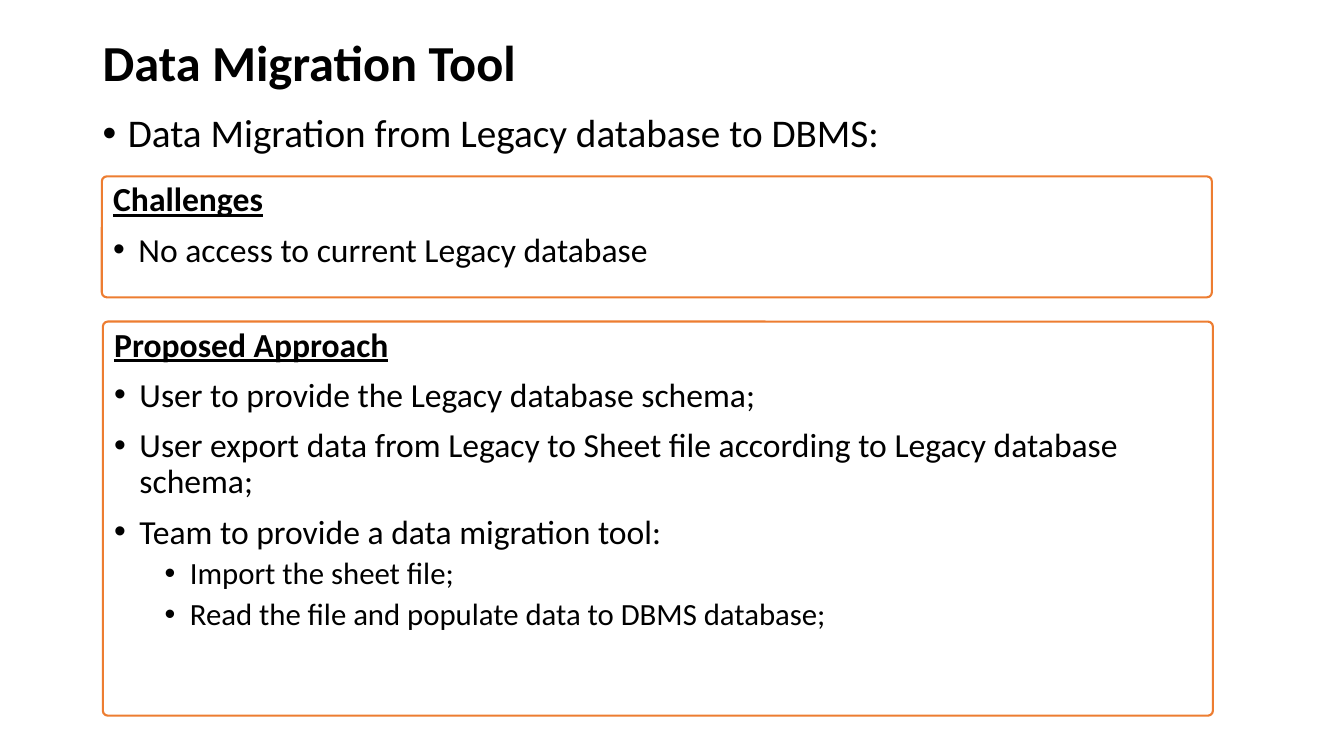
import dataclasses

import lxml.etree
import pptx
import pptx.dml.color
import pptx.enum.shapes
import pptx.enum.text
import pptx.oxml.ns
import pptx.util


@dataclasses.dataclass(frozen=True)
class Theme:
    """Hold the colours, font and type sizes of the slide."""
    font: str = "Calibri"
    text: str = "000000"
    panel: str = "FFFFFF"
    border: str = "ED7D31"
    border_width: float = 1.5
    title: int = 36
    lead: int = 28
    heading: int = 24
    levels: tuple = (24, 22)
    space_before: tuple = (10, 5)
    line_spacing: float = 0.9


THEME = Theme()
INDENT = 0.25
LEVEL_STEP = 0.5
CORNER_RADIUS = 0.05


def inches(box):
    """Convert a box of left, top, width and height to lengths."""
    return [pptx.util.Inches(length) for length in box]


def set_bullet(paragraph, level):
    """Give a paragraph a round bullet with a hanging indent."""
    properties = paragraph._p.get_or_add_pPr()
    properties.set("marL", str(pptx.util.Inches(INDENT + LEVEL_STEP * level)))
    properties.set("indent", str(-pptx.util.Inches(INDENT)))
    font = lxml.etree.SubElement(properties, pptx.oxml.ns.qn("a:buFont"))
    font.set("typeface", "Arial")
    bullet = lxml.etree.SubElement(properties, pptx.oxml.ns.qn("a:buChar"))
    bullet.set("char", "•")


def write_paragraph(paragraph, text, size, space=0, level=None, bold=False, underline=False):
    """Fill one paragraph, bulleted when it has a level."""
    paragraph.alignment = pptx.enum.text.PP_ALIGN.LEFT
    paragraph.line_spacing = THEME.line_spacing
    paragraph.space_before = pptx.util.Pt(space)
    if level is not None:
        paragraph.level = level
        set_bullet(paragraph, level)
    run = paragraph.add_run()
    run.text = text
    run.font.name = THEME.font
    run.font.size = pptx.util.Pt(size)
    run.font.bold = bold
    run.font.underline = underline
    run.font.color.rgb = pptx.dml.color.RGBColor.from_string(THEME.text)


def add_line(slide, box, text, anchor, **style):
    """Place a text box holding one line."""
    frame = slide.shapes.add_textbox(*inches(box)).text_frame
    frame.word_wrap = True
    frame.vertical_anchor = anchor
    write_paragraph(frame.paragraphs[0], text, **style)


def add_panel(slide, box, heading, items):
    """Place a rounded panel with a heading and bulleted items."""
    panel = slide.shapes.add_shape(
        pptx.enum.shapes.MSO_SHAPE.ROUNDED_RECTANGLE, *inches(box))
    panel.adjustments[0] = CORNER_RADIUS / box[3]
    panel.shadow.inherit = False
    panel.fill.solid()
    panel.fill.fore_color.rgb = pptx.dml.color.RGBColor.from_string(THEME.panel)
    panel.line.color.rgb = pptx.dml.color.RGBColor.from_string(THEME.border)
    panel.line.width = pptx.util.Pt(THEME.border_width)
    frame = panel.text_frame
    frame.word_wrap = True
    frame.vertical_anchor = pptx.enum.text.MSO_ANCHOR.TOP
    write_paragraph(frame.paragraphs[0], heading, THEME.heading,
                    THEME.space_before[0], bold=True, underline=True)
    for level, text in items:
        write_paragraph(frame.add_paragraph(), text, THEME.levels[level],
                        THEME.space_before[level], level)


def build_migration_slide(slide):
    """Lay out the title, the lead line and the two panels."""
    anchors = pptx.enum.text.MSO_ANCHOR
    add_line(slide, (0.92, 0.4, 11.5, 0.49), "Data Migration Tool",
             anchors.MIDDLE, size=THEME.title, bold=True)
    add_line(slide, (0.92, 1.08, 11.5, 0.6),
             "Data Migration from Legacy database to DBMS:", anchors.TOP,
             size=THEME.lead, space=THEME.space_before[0], level=0)
    add_panel(slide, (1.01, 1.75, 11.01, 1.2), "Challenges", [
        (0, "No access to current Legacy database"),
    ])
    add_panel(slide, (1.02, 3.19, 11.01, 3.91), "Proposed Approach", [
        (0, "User to provide the Legacy database schema;"),
        (0, "User export data from Legacy to Sheet file according to Legacy database schema;"),
        (0, "Team to provide a data migration tool:"),
        (1, "Import the sheet file;"),
        (1, "Read the file and populate data to DBMS database;"),
    ])


def main():
    """Create and save the presentation."""
    presentation = pptx.Presentation()
    presentation.slide_width = pptx.util.Inches(13.33)
    presentation.slide_height = pptx.util.Inches(7.5)
    build_migration_slide(presentation.slides.add_slide(presentation.slide_layouts[6]))
    presentation.save("out.pptx")


if __name__ == "__main__":
    main()
